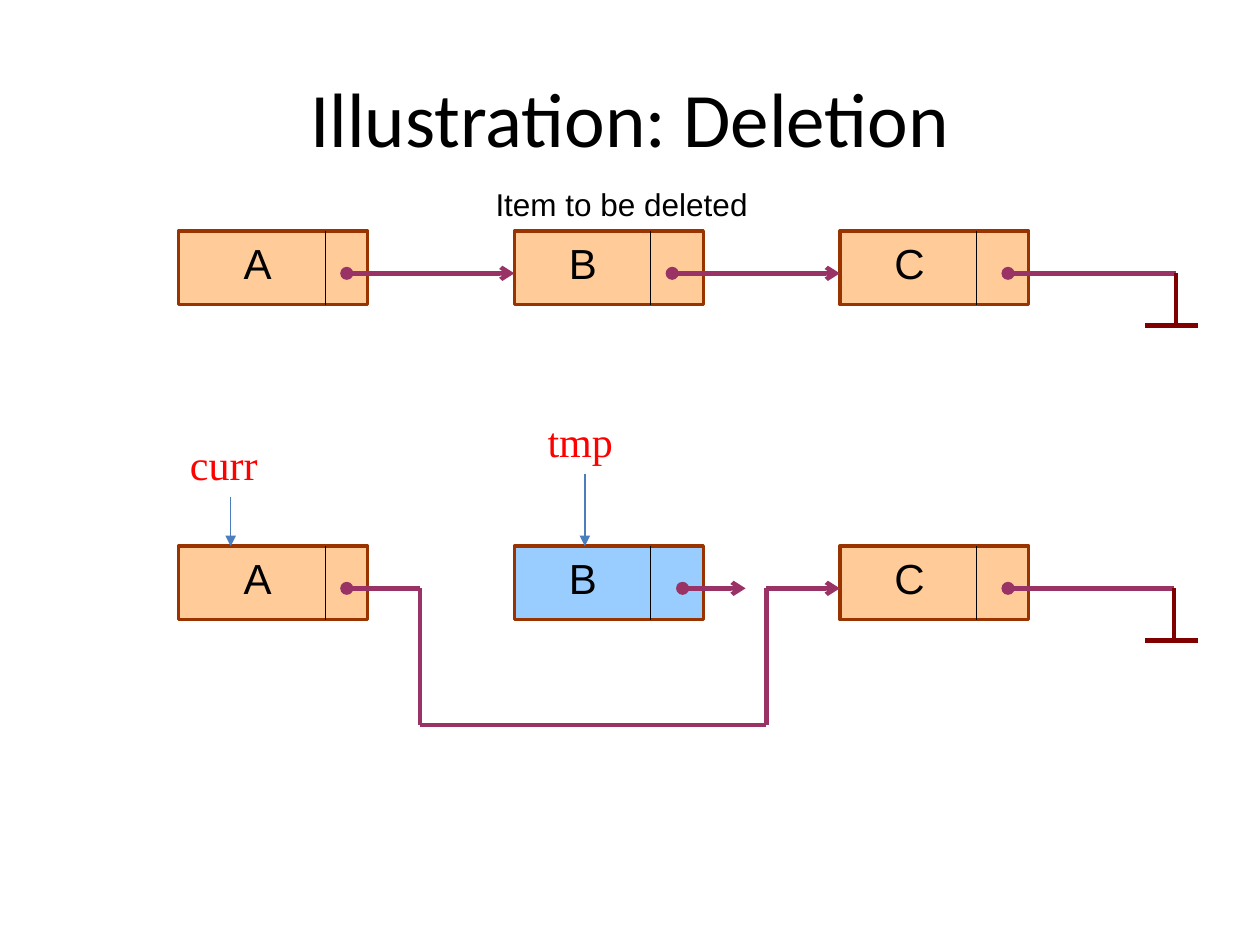
from itertools import pairwise

from lxml.etree import SubElement
from pptx import Presentation
from pptx.dml.color import RGBColor
from pptx.enum.shapes import MSO_CONNECTOR as Connector, MSO_SHAPE as Shape
from pptx.enum.text import MSO_ANCHOR as Anchor, PP_ALIGN as Align
from pptx.oxml.ns import qn
from pptx.util import Cm, Pt

BLACK, RED = "000000", "FF0000"
ORANGE, LIGHT_BLUE, BROWN = "FFCC99", "99CCFF", "993300"
PURPLE, MAROON, STEEL_BLUE = "993366", "800000", "4B7EBC"


def color(hex_code):
    return RGBColor.from_string(hex_code)


class ListDiagram:
    """Draws linked-list parts on one slide; all lengths are in centimetres."""

    node_width, node_height = 3.81, 1.48
    pointer_drop = 0.85
    pointer_weight, divider_weight, border_weight = 2.5, 0.75, 2

    def __init__(self, slide):
        self.slide = slide

    def text(self, words, left, top, width, height, size, font="Arial",
             ink=BLACK, align=Align.LEFT, anchor=Anchor.TOP, wrap=True):
        box = self.slide.shapes.add_textbox(Cm(left), Cm(top), Cm(width), Cm(height))
        frame = box.text_frame
        frame.word_wrap = wrap
        frame.vertical_anchor = anchor
        paragraph = frame.paragraphs[0]
        paragraph.alignment = align
        run = paragraph.add_run()
        run.text = words
        run.font.name = font
        run.font.size = Pt(size)
        run.font.color.rgb = color(ink)

    def line(self, start, end, ink=PURPLE, weight=pointer_weight, head=None, tail=None):
        """Straight line; head is the mark at the start, tail the one at the end."""
        connector = self.slide.shapes.add_connector(
            Connector.STRAIGHT, *map(Cm, start), *map(Cm, end))
        connector.line.color.rgb = color(ink)
        connector.line.width = Pt(weight)
        outline = connector.line._get_or_add_ln()
        for tag, mark in (("a:headEnd", head), ("a:tailEnd", tail)):
            if mark:
                SubElement(outline, qn(tag), type=mark)
        SubElement(connector._element.spPr, qn("a:effectLst"))

    def route(self, points):
        """Pointer with corners, from a dot to an arrowhead."""
        segments = list(pairwise(points))
        for index, (start, end) in enumerate(segments):
            self.line(start, end,
                      head="oval" if index == 0 else None,
                      tail="arrow" if index == len(segments) - 1 else None)

    def node(self, name, left, top, label_left, divider, fill=ORANGE):
        shape = self.slide.shapes.add_shape(
            Shape.RECTANGLE, Cm(left), Cm(top), Cm(self.node_width), Cm(self.node_height))
        shape.shadow.inherit = False
        shape.fill.solid()
        shape.fill.fore_color.rgb = color(fill)
        shape.line.color.rgb = color(BROWN)
        shape.line.width = Pt(self.border_weight)
        self.line((divider, top), (divider, top + self.node_height),
                  BLACK, self.divider_weight)
        self.text(name, label_left, top, 1.69, 1.27, 24)

    def null_end(self, start, stem, level):
        """Pointer that ends in the ground sign."""
        foot = level + 1.05
        self.line((start, level), (stem, level), head="oval")
        self.line((stem, level), (stem, foot), MAROON)
        self.line((23.09, foot), (24.16, foot), MAROON)

    def variable(self, name, left, top, width, tip, tip_level):
        self.text(name, left, top, width, 1.27, 24, "Times New Roman", RED, wrap=False)
        self.line((tip, top + 1.3), (tip, tip_level), STEEL_BLUE, 0.75, tail="triangle")


def main():
    presentation = Presentation()
    presentation.slide_width, presentation.slide_height = Cm(25.4), Cm(19.05)
    slide = presentation.slides.add_slide(presentation.slide_layouts[6])
    diagram = ListDiagram(slide)

    diagram.text("Illustration: Deletion", 1.27, 0.76, 22.86, 3.18, 44, "Calibri",
                 align=Align.CENTER, anchor=Anchor.MIDDLE)
    diagram.text("Item to be deleted", 9.74, 3.6, 6.99, 1.02, 18)

    before, after = 4.66, 11.01
    a_left, b_left, c_left = 3.6, 10.37, 16.93
    a_dot, b_dot, c_dot = 6.99, 13.55, 20.32
    nodes = (("A", a_left, 4.66, 6.56),
             ("B", b_left, 11.22, 13.12),
             ("C", c_left, 17.78, 19.69))
    for top, b_fill in ((before, ORANGE), (after, LIGHT_BLUE)):
        for name, left, label_left, divider in nodes:
            diagram.node(name, left, top, label_left, divider,
                         b_fill if name == "B" else ORANGE)

    level = before + diagram.pointer_drop
    diagram.route([(a_dot, level), (b_left, level)])
    diagram.route([(b_dot, level), (c_left, level)])
    diagram.null_end(c_dot, 23.71, level)

    level = after + diagram.pointer_drop
    detour_left, detour_right, detour_level = 8.47, 15.45, 14.61
    diagram.route([(a_dot, level), (detour_left, level), (detour_left, detour_level),
                   (detour_right, detour_level), (detour_right, level), (c_left, level)])
    diagram.route([(13.76, level), (15.03, level)])
    diagram.null_end(c_dot, 23.67, level)

    diagram.variable("curr", 3.58, 8.71, 2.13, 4.65, after)
    diagram.variable("tmp", 10.79, 8.25, 1.98, 11.79, after)

    presentation.save("out.pptx")


if __name__ == "__main__":
    main()
